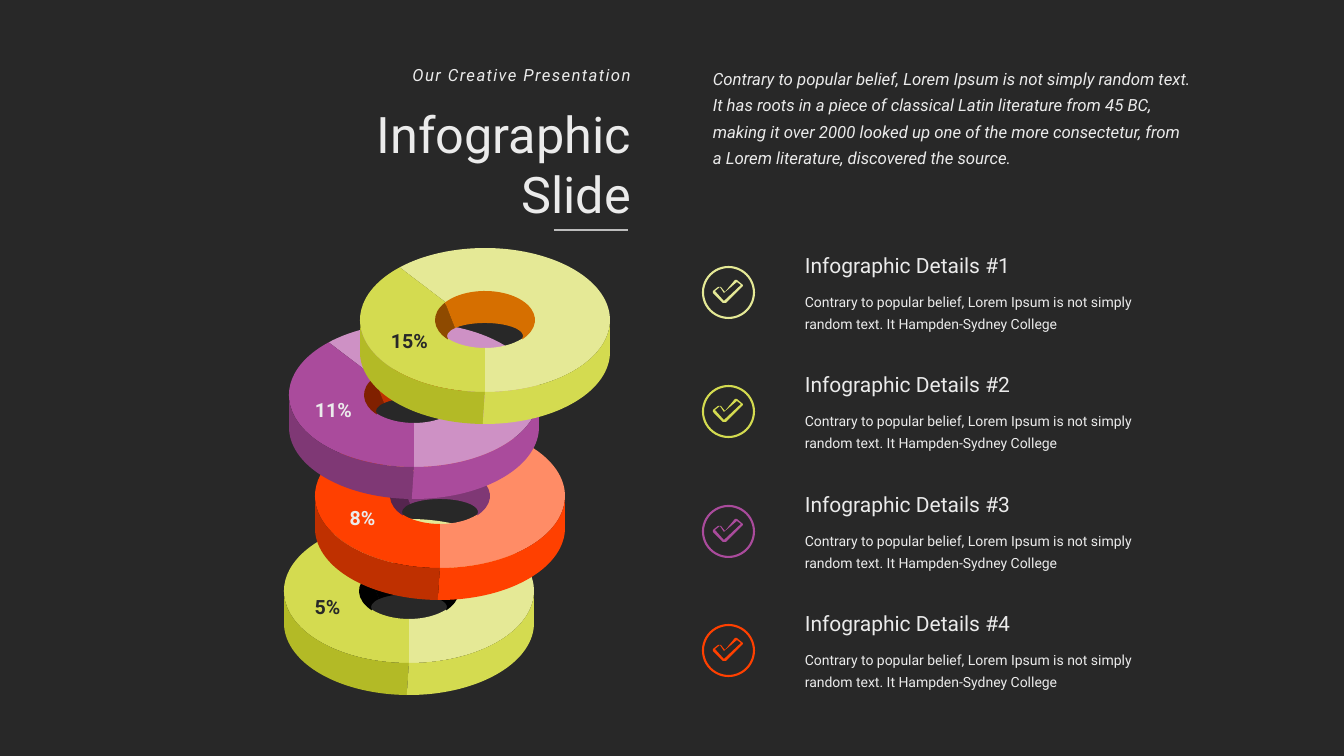
from dataclasses import dataclass
from math import ceil, cos, radians, sin, tan

from lxml.etree import SubElement
from pptx import Presentation
from pptx.dml.color import RGBColor
from pptx.enum.shapes import MSO_CONNECTOR, MSO_SHAPE
from pptx.enum.text import MSO_ANCHOR, MSO_AUTO_SIZE, PP_ALIGN
from pptx.oxml.ns import qn
from pptx.util import Emu, Pt

SLIDE_W, SLIDE_H = 1344, 756
SCALE = 12192000 / SLIDE_W
FONT = "Roboto"
C = {
    "dark": "282828", "text": "EBEBEB", "rule": "BDBDBD", "black": "000000",
    "lime_light": "E5E996", "lime": "D4DB50", "lime_dark": "B3BA26",
    "orange_light": "FF8C66", "orange": "FF4000", "orange_dark": "BF3000", "rust": "802000",
    "purple_light": "CE91C5", "purple": "AA4B9C", "purple_dark": "7F3875", "plum": "55254E",
    "amber": "D66F00", "brown": "8E4A00",
}
Points = list[tuple[float, float]]

# Ring proportions
OUTER = (125, 72)
HOLE = (49, 27)
WALL = (50, 29)
FLOOR = (38, 13)
FLOOR_DROP, DEPTH = 16, 32

# Tick contours, measured from the centre of the circle
TICK_OUTER = [(15, -7), (9, -12), (7, -12), (-3, 0), (-7, -5), (-10, -5),
              (-15, -1), (-15, 1), (-5, 11), (-2, 11), (15, -6)]
TICK_INNER = [(-4, 9), (-13, -1), (-8, -5), (-4, 1), (9, -10), (13, -7)]
CIRCLE = 51

INTRO = ("Contrary to popular belief, Lorem Ipsum is not simply random text. It has roots in a "
         "piece of classical Latin literature from 45 BC, making it over 2000 looked up one of "
         "the more consectetur, from a Lorem literature, discovered the source.")
DETAIL = ("Contrary to popular belief, Lorem Ipsum is not simply random text. "
          "It Hampden-Sydney College")


@dataclass
class Ring:
    cx: int
    cy: int
    light: str
    main: str
    shade: str
    wall: str
    wall_shade: str
    label: str
    label_x: int
    label_y: int
    label_color: str


RINGS = [
    Ring(409, 591, "lime_light", "lime", "lime_dark", "black", "black", "5%", 295, 590, "dark"),
    Ring(440, 496, "orange_light", "orange", "orange_dark", "purple_dark", "plum",
         "8%", 330, 501, "text"),
    Ring(414, 395, "purple_light", "purple", "purple_dark", "orange_dark", "rust",
         "11%", 301, 393, "text"),
    Ring(485, 320, "lime_light", "lime", "lime_dark", "amber", "brown", "15%", 377, 324, "dark"),
]
DETAIL_COLORS = ["lime_light", "lime", "purple", "orange"]


def px(n: float) -> Emu:
    return Emu(round(n * SCALE))


def rgb(name: str) -> RGBColor:
    return RGBColor.from_string(C[name])


def write(sp, text: str, *, size: int, color: str = "text", bold: bool = False,
          italic: bool = False, align=PP_ALIGN.LEFT, leading: int = 0, tracking: int = 0) -> None:
    tf = sp.text_frame
    tf.word_wrap = True
    tf.auto_size = MSO_AUTO_SIZE.SHAPE_TO_FIT_TEXT
    tf.vertical_anchor = MSO_ANCHOR.TOP
    p = tf.paragraphs[0]
    p.alignment = align
    if leading:
        p.line_spacing = Pt(leading)
    r = p.add_run()
    r.text = text
    r.font.name, r.font.size = FONT, Pt(size)
    r.font.bold, r.font.italic = bold, italic
    r.font.color.rgb = rgb(color)
    if tracking:
        r._r.get_or_add_rPr().set("spc", str(tracking * 100))


def add_text(s, x: int, y: int, w: int, h: int, text: str, **style) -> None:
    write(s.shapes.add_textbox(px(x), px(y), px(w), px(h)), text, **style)


def add_outline(shapes, color: str, *contours: Points):
    """Fill closed contours; a second one inside the first is a hole."""
    first, *others = [[(px(x), px(y)) for x, y in points] for points in contours]
    builder = shapes.build_freeform(*first[0])
    builder.add_line_segments(first[1:])
    for points in others:
        builder.move_to(*points[0])
        builder.add_line_segments(points[1:])
    sp = builder.convert_to_shape()
    sp.fill.solid()
    sp.fill.fore_color.rgb = rgb(color)
    sp.line.fill.background()
    sp.shadow.inherit = False
    return sp


def arc(cx: int, cy: int, radii: tuple[int, int], start: int, end: int) -> Points:
    """Bezier points on an ellipse; angles in degrees run clockwise from the right."""
    count = ceil(abs(end - start) / 45)
    step = radians(end - start) / count
    pull = 4 / 3 * tan(step / 4)
    unit = [(cos(radians(start)), sin(radians(start)))]
    for i in range(count):
        a = radians(start) + i * step
        b = a + step
        unit += [(cos(a) - pull * sin(a), sin(a) + pull * cos(a)),
                 (cos(b) + pull * sin(b), sin(b) - pull * cos(b)),
                 (cos(b), sin(b))]
    return [(cx + radii[0] * x, cy + radii[1] * y) for x, y in unit]


def add_band(shapes, color: str, there: Points, back: Points) -> None:
    """Fill the area between two arcs, turning each three segments into one curve."""
    sp = add_outline(shapes, color, there + back)
    lines = list(sp._element.iter(qn("a:lnTo")))
    join = len(there) - 1
    bent = lines[:join] + lines[join + 1:]
    for i in range(0, len(bent), 3):
        parent = bent[i].getparent()
        curve = SubElement(parent, qn("a:cubicBezTo"))
        bent[i].addprevious(curve)
        for line in bent[i:i + 3]:
            curve.append(line[0])
            parent.remove(line)


def add_ring(s, ring: Ring) -> None:
    shapes = s.shapes.add_group_shape().shapes
    x, y = ring.cx, ring.cy
    floor_y, base_y = y + FLOOR_DROP, y + DEPTH
    bands = [
        (ring.light, arc(x, y, OUTER, 227, 450), arc(x, y + 1, HOLE, 450, 220)),
        (ring.main, arc(x, y, OUTER, 90, 227), arc(x, y + 1, HOLE, 220, 90)),
        (ring.wall_shade, arc(x, y, WALL, 217, 138), arc(x, floor_y, FLOOR, 167, 218)),
        (ring.wall, arc(x, y, WALL, 217, 402), arc(x, floor_y, FLOOR, 373, 218)),
        (ring.shade, arc(x, y, OUTER, 178, 90), arc(x, base_y, OUTER, 91, 178)),
        (ring.main, arc(x, y, OUTER, 90, 2), arc(x, base_y, OUTER, 2, 91)),
    ]
    for band in bands:
        add_band(shapes, *band)


def add_tick(s, x: int, y: int, color: str) -> None:
    shapes = s.shapes.add_group_shape().shapes
    cx, cy = x + CIRCLE // 2, y + CIRCLE // 2
    add_outline(shapes, color, *([(cx + dx, cy + dy) for dx, dy in contour]
                                 for contour in (TICK_OUTER, TICK_INNER)))
    sp = shapes.add_shape(MSO_SHAPE.OVAL, px(x), px(y), px(CIRCLE), px(CIRCLE))
    sp.fill.background()
    sp.line.color.rgb = rgb(color)
    sp.line.width = Pt(1.5)
    sp.shadow.inherit = False


def main() -> None:
    prs = Presentation()
    prs.slide_width, prs.slide_height = px(SLIDE_W), px(SLIDE_H)
    s = prs.slides.add_slide(prs.slide_layouts[5])
    s.background.fill.solid()
    s.background.fill.fore_color.rgb = rgb("dark")

    title = s.shapes.title
    title.left, title.top, title.width, title.height = px(304), px(98), px(337), px(132)
    write(title, "Infographic Slide", size=36, align=PP_ALIGN.RIGHT)
    add_text(s, 340, 60, 301, 30, "Our Creative Presentation", size=12, italic=True,
             align=PP_ALIGN.RIGHT, tracking=1)
    rule = s.shapes.add_connector(MSO_CONNECTOR.STRAIGHT, px(554), px(230), px(628), px(230))
    rule.line.color.rgb = rgb("rule")
    rule.line.width = Pt(2)
    SubElement(rule._element.spPr, qn("a:effectLst"))
    add_text(s, 703, 57, 499, 115, INTRO, size=12, italic=True, leading=19)

    for ring in RINGS:
        add_ring(s, ring)
    for ring in RINGS:
        add_text(s, ring.label_x, ring.label_y, 65, 34, ring.label, size=14, bold=True,
                 color=ring.label_color, align=PP_ALIGN.CENTER)
    for i, color in enumerate(DETAIL_COLORS):
        y = 267 + i * 239 // 2
        add_tick(s, 703, y, color)
        add_text(s, 795, y - 19, 280, 35, f"Infographic Details #{i + 1}", size=15)
        add_text(s, 795, y + 16, 397, 53, DETAIL, size=10, leading=16)

    prs.save("out.pptx")


if __name__ == "__main__":
    main()
